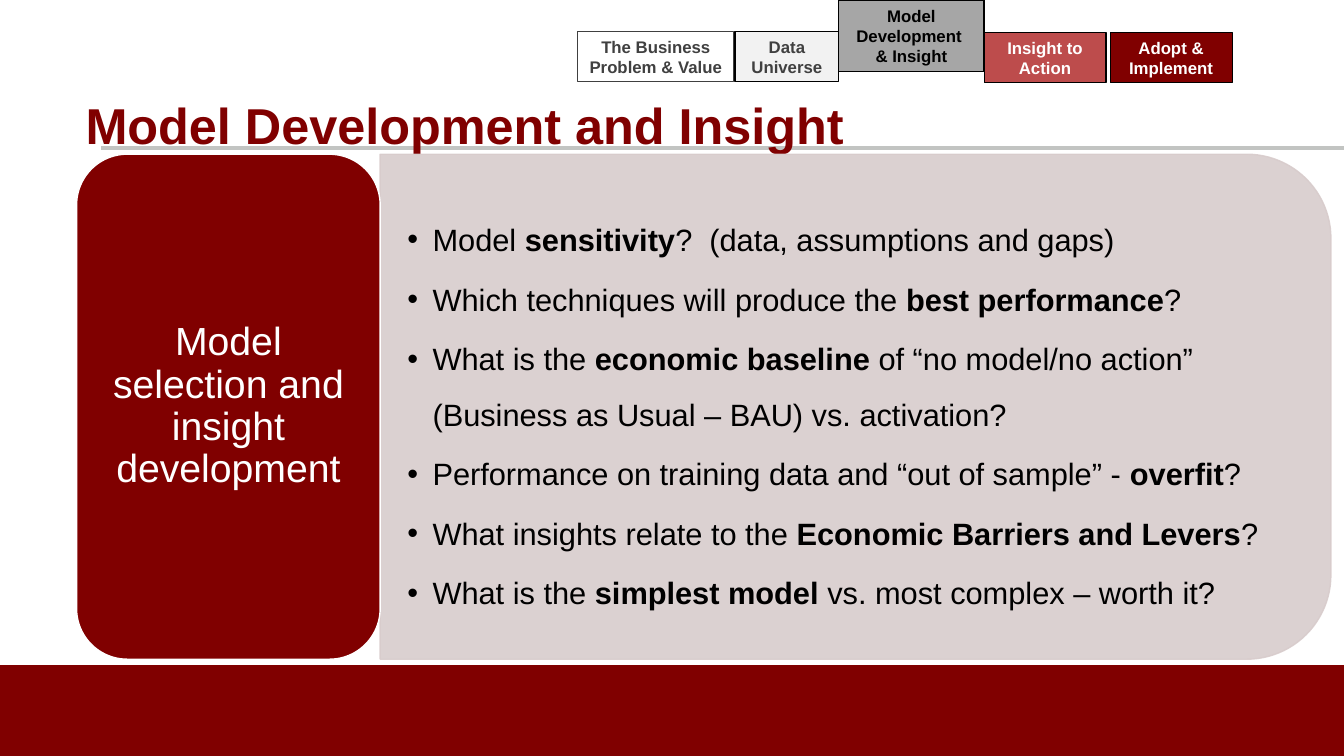
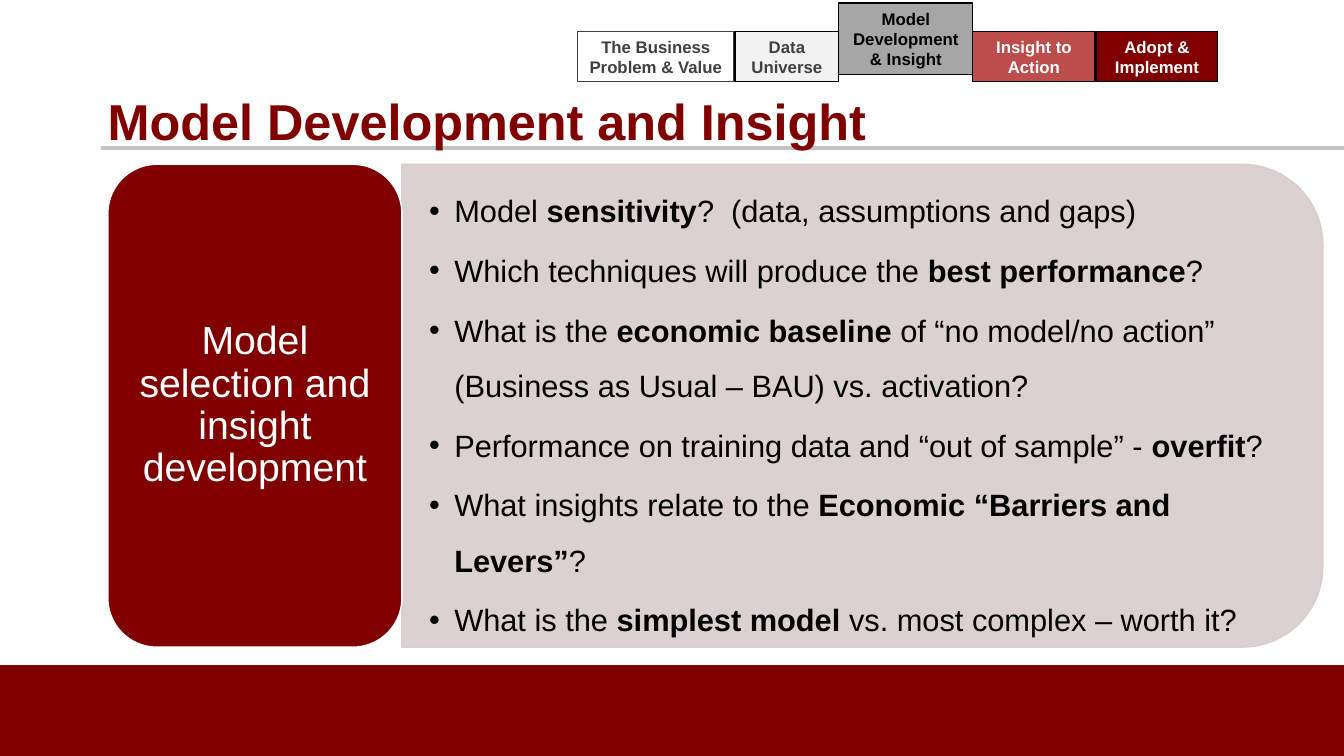
from lxml.etree import SubElement
from pptx import Presentation
from pptx.dml.color import RGBColor
from pptx.enum.shapes import MSO_CONNECTOR as Connector, MSO_SHAPE as Preset
from pptx.enum.text import MSO_ANCHOR as Anchor, PP_ALIGN as Align
from pptx.oxml.ns import qn
from pptx.util import Inches, Pt

SLIDE_W, SLIDE_H = 13.33, 7.5
FONT = "Arial"
COLORS = {
    "maroon": "800000", "red": "A10000", "rule": "C2C4C2", "panel": "D8CCCC",
    "white": "FFFFFF", "pale": "F2F2F2", "gray": "A6A6A6", "dark": "404040",
    "black": "000000",
}
TITLE = "Model Development and Insight"
TOPIC = "Model selection and insight development"
TOPIC_SHARE = 0.242
CORNER_INSET = 0.0488

TAB_STYLES = [
    ("white", "dark", "dark", 100),
    ("pale", "black", "dark", 100),
    ("gray", "black", "black", 100),
    ("red", "black", "white", 70),
    ("maroon", "black", "white", 100),
]
BUSINESS, DATA = ["The Business Problem & Value"], ["Data Universe"]
ACTION, ADOPT = ["Insight to Action"], ["Adopt & Implement"]


def questions(levers):
    """Return the questions as lead, bold and closing text."""
    return [
        ("Model ", "sensitivity", "?  (data, assumptions and gaps)"),
        ("Which techniques will produce the ", "best performance", "?"),
        ("What is the ", "economic baseline ",
         "of “no model/no action” (Business as Usual – BAU) vs. activation?"),
        ("Performance on training data and “out of sample” - ", "overfit", "?"),
        ("What insights relate to the ", levers, "?"),
        ("What is the ", "simplest model ", "vs. most complex – worth it?"),
    ]


SLIDES = [
    {
        "title_at": (0.75, 0.51),
        "body": (0.76, 1.53, 12.44, 5.01),
        "levers": "Economic Barriers and Levers",
        "tabs": [
            (BUSINESS, 5.73, 0.31, 1.55, 0.5),
            (DATA, 7.29, 0.31, 1.03, 0.5),
            (["Model Development ", "& Insight"], 8.32, 0, 1.44, 0.71),
            (ACTION, 9.76, 0.32, 1.21, 0.5),
            (ADOPT, 11.01, 0.32, 1.21, 0.5),
        ],
    },
    {
        "title_at": (0.97, 0.47),
        "body": (1.07, 1.63, 12.05, 4.79),
        "levers": "Economic “Barriers and Levers”",
        "tabs": [
            (BUSINESS, 5.73, 0.31, 1.55, 0.5),
            (DATA, 7.29, 0.31, 1.03, 0.5),
            (["Model Development & Insight"], 8.32, 0.03, 1.33, 0.71),
            (ACTION, 9.65, 0.31, 1.21, 0.5),
            (ADOPT, 10.87, 0.31, 1.21, 0.5),
        ],
    },
]


def rgb(name):
    """Look up a palette colour."""
    return RGBColor.from_string(COLORS[name])


def set_alpha(fill_parent, percent):
    """Make the solid fill below an element partly transparent."""
    color = fill_parent.find(qn("a:solidFill"))[0]
    SubElement(color, qn("a:alpha")).set("val", str(percent * 1000))


def add_block(slide, preset, box, fill, line=None, width=1, alpha=100):
    """Add a flat preset shape."""
    block = slide.shapes.add_shape(preset, *map(Inches, box))
    block.shadow.inherit = False
    block.fill.solid()
    block.fill.fore_color.rgb = rgb(fill)
    if line:
        block.line.color.rgb = rgb(line)
        block.line.width = Pt(width)
    else:
        block.line.fill.background()
    if alpha < 100:
        set_alpha(block.element.spPr, alpha)
    return block


def add_run(paragraph, text, size, color, bold=False):
    """Append one formatted run."""
    run = paragraph.add_run()
    run.text = text
    run.font.name, run.font.size, run.font.bold = FONT, Pt(size), bold
    run.font.color.rgb = rgb(color)


def prepare_frame(shape, inset_x=0.1, inset_y=0.05):
    """Wrap and centre a shape's text vertically, with the given insets."""
    frame = shape.text_frame
    frame.word_wrap = True
    frame.vertical_anchor = Anchor.MIDDLE
    frame.margin_left = frame.margin_right = Inches(inset_x)
    frame.margin_top = frame.margin_bottom = Inches(inset_y)
    return frame


def next_paragraph(frame, index):
    """Return the first paragraph or append another."""
    return frame.add_paragraph() if index else frame.paragraphs[0]


def add_bullet(paragraph):
    """Give a paragraph a hanging round bullet."""
    properties = paragraph._p.get_or_add_pPr()
    properties.set("marL", str(Inches(0.25)))
    properties.set("indent", str(-Inches(0.25)))
    SubElement(properties, qn("a:buFont")).set("typeface", FONT)
    SubElement(properties, qn("a:buChar")).set("char", "•")


def add_frame(slide, title_at):
    """Draw the footer band, the rule and the title."""
    add_block(slide, Preset.RECTANGLE, (0, 6.6, SLIDE_W, 0.9), "maroon")
    rule = slide.shapes.add_connector(
        Connector.STRAIGHT, Inches(1), Inches(1.47), Inches(SLIDE_W), Inches(1.47))
    rule.line.color.rgb = rgb("rule")
    rule.line.width = Pt(3)
    SubElement(rule.element.spPr, qn("a:effectLst"))
    title = slide.shapes.add_textbox(*map(Inches, (*title_at, 11.5, 1.45)))
    add_run(prepare_frame(title).paragraphs[0], TITLE, 36, "maroon", True)


def add_tabs(slide, tabs):
    """Draw the row of process step tabs."""
    for (lines, *box), (fill, line, ink, alpha) in zip(tabs, TAB_STYLES):
        tab = add_block(slide, Preset.RECTANGLE, box, fill, line, 0.75, alpha)
        frame = prepare_frame(tab)
        for index, text in enumerate(lines):
            paragraph = next_paragraph(frame, index)
            paragraph.alignment = Align.CENTER
            add_run(paragraph, text, 12, ink, True)


def add_topic(slide, box):
    """Draw the rounded topic block."""
    topic = add_block(slide, Preset.ROUNDED_RECTANGLE, box, "maroon", "white")
    paragraph = prepare_frame(topic, 0.12, 0.06).paragraphs[0]
    paragraph.alignment = Align.CENTER
    paragraph.line_spacing = 0.9
    add_run(paragraph, TOPIC, 28, "white")


def add_questions(slide, box, items):
    """Draw the panel rounded on its right and its bulleted questions."""
    left, top, width, height = box
    shift = (width - height) / 2
    panel = add_block(
        slide, Preset.ROUND_2_SAME_RECTANGLE,
        (left + shift, top - shift, height, width), "panel", "panel", alpha=90)
    panel.rotation = 90
    set_alpha(panel.line._ln, 90)

    inset = height * CORNER_INSET
    text_box = slide.shapes.add_textbox(
        *map(Inches, (left, top + inset, width - inset, height - 2 * inset)))
    frame = prepare_frame(text_box, 0.27, 0.14)
    for index, (lead, strong, rest) in enumerate(items):
        paragraph = next_paragraph(frame, index)
        add_bullet(paragraph)
        paragraph.line_spacing = 1.5
        paragraph.space_after = Pt(3)
        add_run(paragraph, lead, 22, "black")
        add_run(paragraph, strong, 22, "black", True)
        add_run(paragraph, rest, 22, "black")


def add_body(slide, box, items):
    """Split the body into the question panel and the topic block."""
    left, top, width, height = box
    topic_w = width * TOPIC_SHARE
    add_questions(slide, (left + topic_w, top, width - topic_w, height), items)
    add_topic(slide, (left, top, topic_w, height))


def main():
    """Build and save the presentation."""
    deck = Presentation()
    deck.slide_width, deck.slide_height = Inches(SLIDE_W), Inches(SLIDE_H)
    for content in SLIDES:
        slide = deck.slides.add_slide(deck.slide_layouts[6])
        add_frame(slide, content["title_at"])
        add_body(slide, content["body"], questions(content["levers"]))
        add_tabs(slide, content["tabs"])
    deck.save("out.pptx")


if __name__ == "__main__":
    main()
